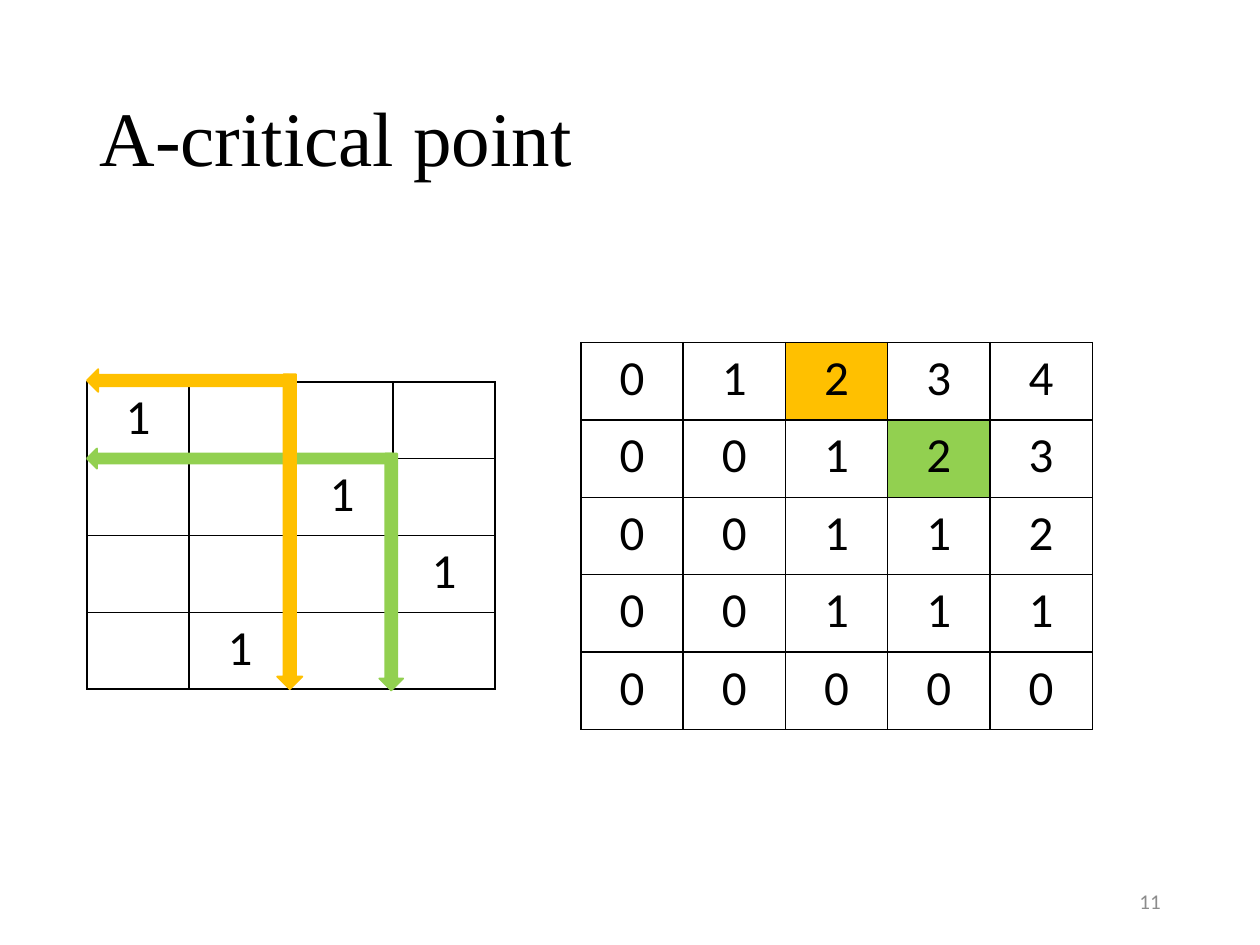
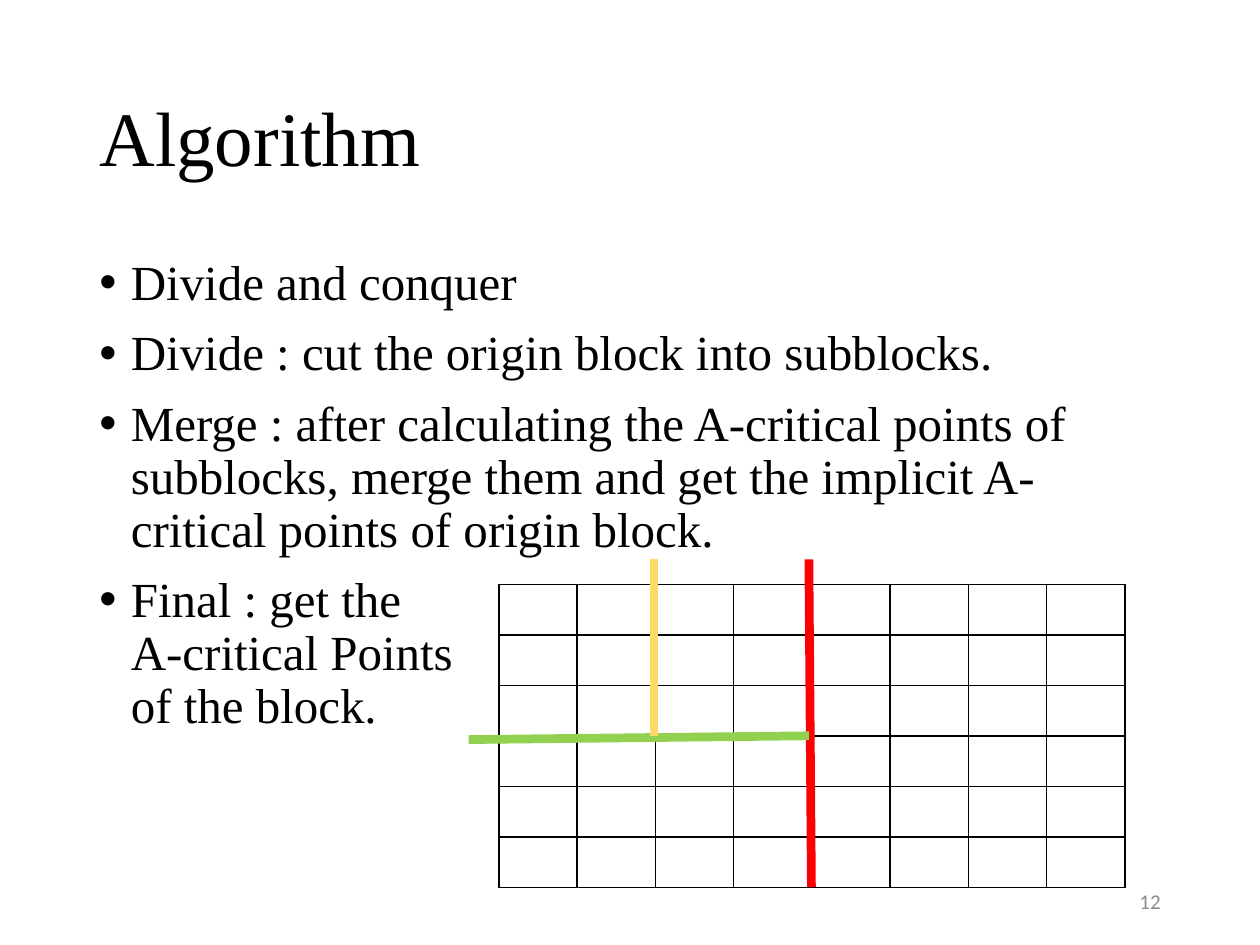
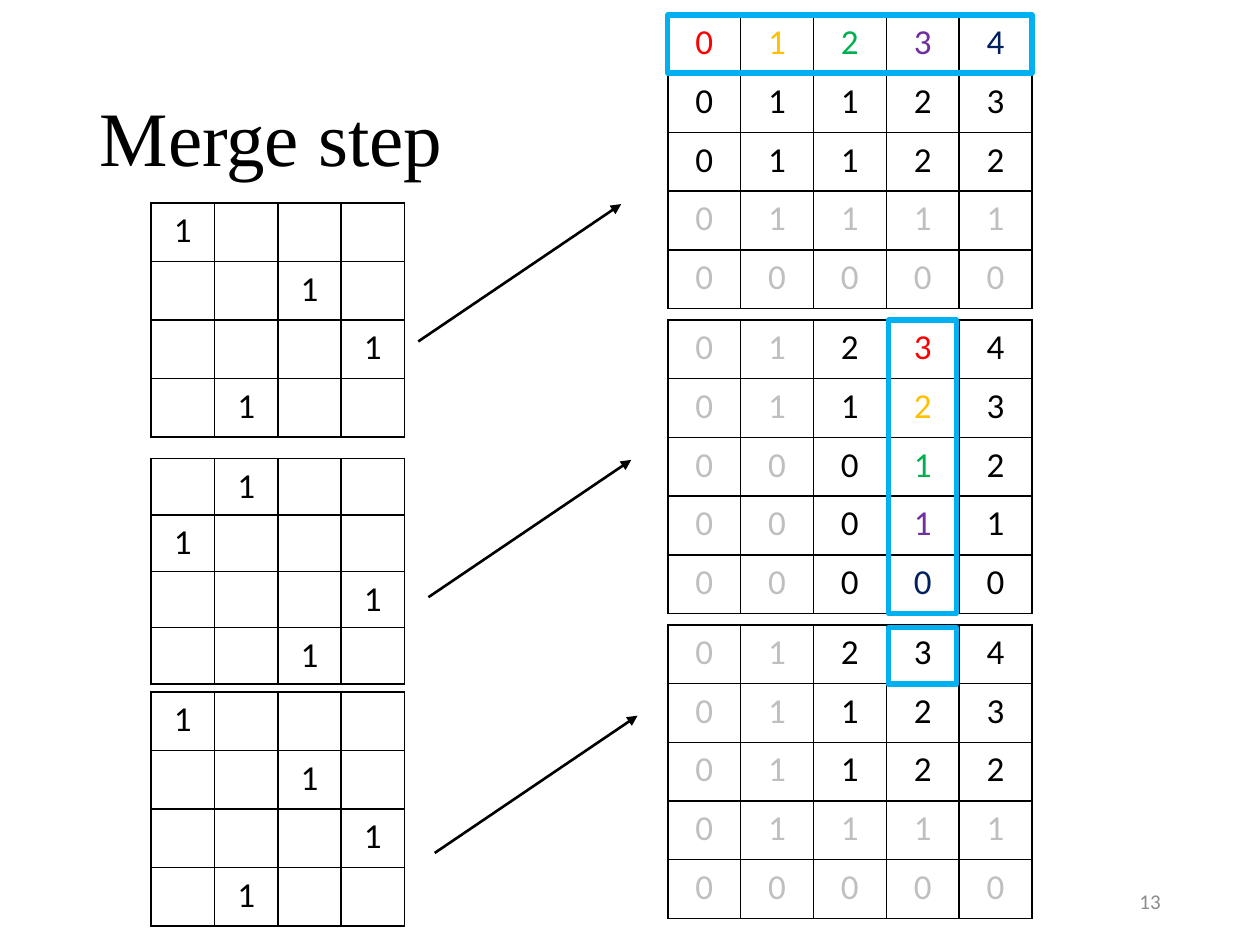
from dataclasses import dataclass

from lxml.etree import SubElement
from pptx import Presentation
from pptx.dml.color import RGBColor
from pptx.enum.shapes import MSO_CONNECTOR, MSO_SHAPE
from pptx.enum.text import MSO_ANCHOR as ANCHOR, MSO_AUTO_SIZE as FIT, PP_ALIGN as ALIGN
from pptx.oxml import parse_xml
from pptx.oxml.ns import nsdecls, qn
from pptx.util import Emu, Pt

# Shared style: 100 px to the inch
PX = 9144
SERIF, SANS = "Times New Roman", "Calibri"
BLACK, GREY, FAINT = "000000", "8C8C8C", "BFBFBF"
RED, ORANGE, GREEN, SKY, SAND = "FF0000", "FFC000", "92D050", "00B0F0", "FFD966"
INKS = {"k": BLACK, "f": FAINT, "r": RED, "o": ORANGE,
        "g": "00B050", "p": "7030A0", "n": "002060"}


@dataclass(frozen=True)
class Box:
    x: int
    y: int
    w: int
    h: int

    def emu(self) -> tuple:
        return px(self.x), px(self.y), px(self.w), px(self.h)


@dataclass(frozen=True)
class Grid:
    """Each row is a string with one character a cell; a dot is an empty cell."""
    box: Box
    rows: tuple
    size: int = 20
    inks: tuple = ()      # letters of INKS, laid out like rows
    fills: tuple = ()     # (row, column, colour)


@dataclass(frozen=True)
class Line:
    x1: int
    y1: int
    x2: int
    y2: int
    color: str = BLACK
    width: float = 1.5
    arrow: bool = False


TITLE = Box(69, 40, 862, 145)
NUMBER = Box(706, 695, 225, 40)


def px(n: int) -> Emu:
    return Emu(n * PX)


def rgb(value: str) -> RGBColor:
    return RGBColor.from_string(value)


def write(p, text: str, *, size: int, font: str = SANS, color: str = BLACK,
          align=ALIGN.LEFT, spacing: float = 1.0, before: int = 0) -> None:
    p.text = text
    p.alignment, p.line_spacing, p.space_before = align, spacing, Pt(before)
    for r in p.runs:
        r.font.size, r.font.name = Pt(size), font
        r.font.color.rgb = rgb(color)


def add_text_box(s, box: Box, anchor=ANCHOR.TOP):
    tf = s.shapes.add_textbox(*box.emu()).text_frame
    tf.word_wrap, tf.vertical_anchor = True, anchor
    return tf


def add_slide(prs, title: str, number: int):
    s = prs.slides.add_slide(prs.slide_layouts[5])
    sp = s.shapes.title
    sp.left, sp.top, sp.width, sp.height = TITLE.emu()
    tf = sp.text_frame
    tf.vertical_anchor, tf.auto_size = ANCHOR.MIDDLE, FIT.NONE
    write(tf.paragraphs[0], title, size=44, font=SERIF, spacing=0.9)
    tf = add_text_box(s, NUMBER, ANCHOR.MIDDLE)
    write(tf.paragraphs[0], str(number), size=12, color=GREY, align=ALIGN.RIGHT)
    return s


def add_bullets(s, box: Box, items: list) -> None:
    tf = add_text_box(s, box)
    for i, item in enumerate(items):
        p = tf.add_paragraph() if i else tf.paragraphs[0]
        pPr = p._p.get_or_add_pPr()
        pPr.set("marL", str(px(25)))
        pPr.set("indent", str(px(-25)))
        SubElement(pPr, qn("a:buFont")).set("typeface", "Arial")
        SubElement(pPr, qn("a:buChar")).set("char", "•")
        write(p, item, size=28, font=SERIF, spacing=0.9, before=10 if i else 0)


def add_borders(cell) -> None:
    tcPr = cell._tc.get_or_add_tcPr()
    for i, side in enumerate("LRTB"):
        tcPr.insert(i, parse_xml(
            f'<a:ln{side} {nsdecls("a")} w="{Pt(1)}"><a:solidFill>'
            f'<a:srgbClr val="{BLACK}"/></a:solidFill></a:ln{side}>'))


def add_grid(s, grid: Grid) -> None:
    n_rows, n_cols = len(grid.rows), len(grid.rows[0])
    table = s.shapes.add_table(n_rows, n_cols, *grid.box.emu()).table
    table.first_row = table.horz_banding = False
    fills = {(r, c): color for r, c, color in grid.fills}
    for r, row in enumerate(grid.rows):
        for c, mark in enumerate(row):
            cell = table.cell(r, c)
            if (r, c) in fills:
                cell.fill.solid()
                cell.fill.fore_color.rgb = rgb(fills[r, c])
            else:
                cell.fill.background()
            add_borders(cell)
            if mark != ".":
                ink = INKS[grid.inks[r][c]] if grid.inks else BLACK
                write(cell.text_frame.paragraphs[0], mark, size=grid.size,
                      color=ink, align=ALIGN.CENTER)


def add_shape(s, kind, box: Box, line: str, width: float = 1, fill: str = "") -> None:
    sp = s.shapes.add_shape(kind, *box.emu())
    sp.shadow.inherit = False
    if fill:
        sp.fill.solid()
        sp.fill.fore_color.rgb = rgb(fill)
    else:
        sp.fill.background()
    sp.line.color.rgb, sp.line.width = rgb(line), Pt(width)


def add_line(s, line: Line) -> None:
    ends = (px(n) for n in (line.x1, line.y1, line.x2, line.y2))
    cx = s.shapes.add_connector(MSO_CONNECTOR.STRAIGHT, *ends)
    cx.line.color.rgb, cx.line.width = rgb(line.color), Pt(line.width)
    if line.arrow:
        SubElement(cx.line._get_or_add_ln(), qn("a:tailEnd")).set("type", "triangle")
    SubElement(cx._element.spPr, qn("a:effectLst"))


# Permutation matrices
PERMUTATION = ("1...", "..1.", "...1", ".1..")
SECOND_PERMUTATION = (".1..", "1...", "...1", "..1.")


def critical_point_slide(prs) -> None:
    s = add_slide(prs, "A-critical point", 11)
    add_grid(s, Grid(Box(69, 303, 324, 244), PERMUTATION, size=28))
    add_grid(s, Grid(Box(461, 272, 406, 307),
                     ("01234", "00123", "00112", "00111", "00000"), size=28,
                     fills=((0, 2, ORANGE), (1, 3, GREEN))))
    # A left and a down arrow bound the counted region of each marked cell
    for color, left, down in (
            (GREEN, Box(69, 356, 243, 16), Box(301, 360, 19, 188)),
            (ORANGE, Box(69, 293, 160, 18), Box(220, 297, 20, 250))):
        add_shape(s, MSO_SHAPE.LEFT_ARROW, left, color, fill=color)
        add_shape(s, MSO_SHAPE.DOWN_ARROW, down, color, fill=color)


def algorithm_slide(prs) -> None:
    s = add_slide(prs, "Algorithm", 12)
    add_bullets(s, Box(69, 200, 862, 476), [
        "Divide and conquer",
        "Divide : cut the origin block into subblocks.",
        "Merge : after calculating the A-critical points of subblocks, "
        "merge them and get the implicit A-critical points of origin block.",
        "Final : get the\nA-critical Points\nof the block.",
    ])
    add_grid(s, Grid(Box(396, 464, 497, 240), ("." * 8,) * 6))
    # Successive cuts of the block
    for cut in (Line(644, 704, 642, 444, RED, 5),
                Line(642, 584, 372, 587, GREEN, 5),
                Line(519, 584, 519, 444, SAND, 5)):
        add_line(s, cut)


def merge_slide(prs) -> None:
    s = add_slide(prs, "Merge step", 13)
    # Permutations on the left
    for y, h, rows in ((161, 186, PERMUTATION), (364, 179, SECOND_PERMUTATION),
                       (549, 186, PERMUTATION)):
        add_grid(s, Grid(Box(120, y, 201, h), rows))
    # Counts on the right: two factors and their merge
    counts = (
        (("01234", "01123", "01122", "01111", "00000"),
         ("rogpn", "kkkkk", "kkkkk", "fffff", "fffff")),
        (("01234", "01123", "00012", "00011", "00000"),
         ("ffkrk", "ffkok", "ffkgk", "ffkpk", "ffknk")),
        (("01234", "01123", "01122", "01111", "00000"),
         ("ffkkk", "ffkkk", "ffkkk", "fffff", "fffff")),
    )
    for i, (rows, inks) in enumerate(counts):
        add_grid(s, Grid(Box(530, 12 + 242 * i, 289, 233), rows, inks=inks))
    # Frames around the combined row, column and result
    for frame in (Box(530, 12, 289, 46), Box(705, 254, 54, 233), Box(705, 498, 54, 45)):
        add_shape(s, MSO_SHAPE.RECTANGLE, frame, SKY, width=3)
    # Arrows from permutation to counts
    for x, y in ((332, 271), (340, 474), (345, 677)):
        add_line(s, Line(x, y, x + 161, y - 109, arrow=True))


def main() -> None:
    prs = Presentation()
    prs.slide_width, prs.slide_height = px(1000), px(750)
    critical_point_slide(prs)
    algorithm_slide(prs)
    merge_slide(prs)
    prs.save("out.pptx")


if __name__ == "__main__":
    main()
